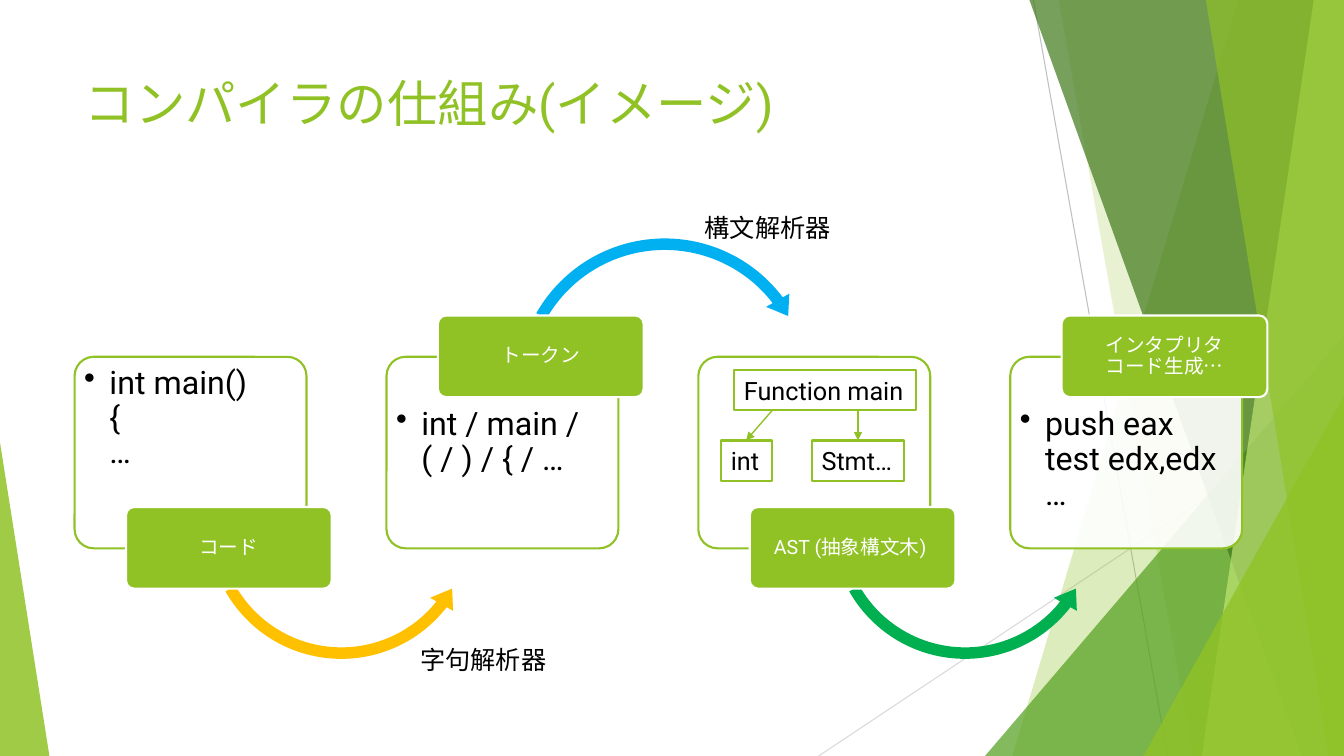
"""Build a slide that shows how a compiler turns code into output, stage by stage."""
from lxml.etree import SubElement
from pptx import Presentation
from pptx.dml.color import RGBColor
from pptx.enum.shapes import MSO_CONNECTOR, MSO_SHAPE
from pptx.enum.text import MSO_ANCHOR, PP_ALIGN
from pptx.oxml.ns import qn
from pptx.util import Inches, Pt

WIDTH, HEIGHT = 13.33, 7.5
FONT, GREEN, WHITE, BLACK = "Roboto", "90C226", "FFFFFF", "000000"
TITLE = "コンパイラの仕組み(イメージ)"

RAYS = [((10.25, 0), (11.58, HEIGHT), "BFBFBF"), ((WIDTH, 4.03), (8.12, HEIGHT), "D9D9D9")]
DECORATION = [
    ("wedge", (12.28, 10.04), GREEN, 30),
    ("wedge", (10.5, 11.83), GREEN, 20),
    ("triangle", (9.77, 3.33, 3.56, 4.17, 1), "54A021", 72),
    ("wedge", (10.21, 12.91), "3F7819", 70),
    ("wedge", (13.03, 11.92), "C0E474", 70),
    ("wedge", (11.96, 13.18), GREEN, 65),
    ("triangle", (11.34, 3.93, 1.99, 3.57, 1), GREEN, 80),
    ("triangle", (0, 4.39, 0.49, 3.11, 0), GREEN, 85),
]

STAGES = [
    ("コード", "int main()\n{\n…", "low", "FFC000"),
    ("トークン", "int / main / ( / ) / { / …", "high", "00B0F0"),
    ("AST (抽象構文木) ", "", "low", "00B050"),
    ("インタプリタ\nコード生成…", "push eax\ntest edx,edx\n…", "high", None),
]
FIRST_LEFT, LAST_LEFT, PANEL_TOP = 0.74, 10.02, 3.54
PANEL_SIZE, TAB_SIZE, TAB_OFFSET = (2.3, 1.9), (2.04, 0.81), 0.51
TAB_TOP = {"low": 5.03, "high": 3.13}
TEXT_INSET = {"low": 0.04, "high": 0.45}
ARROWS = {
    "low": (MSO_SHAPE.LEFT_CIRCULAR_ARROW, 1.25, 3.82, 2.79,
            (0.041, 5.107, 22.862, 90.245, 0.047)),
    "high": (MSO_SHAPE.CIRCULAR_ARROW, 1.22, 2.29, 3.08,
             (0.037, 4.577, 193.668, 125.755, 0.043)),
}

TREE_NODES = [("Function main", 7.28, 3.67, 1.81), ("int", 7.15, 4.37, 0.51),
              ("Stmt…", 8.05, 4.37, 0.92)]
TREE_EDGES = [((7.66, 4.07), (7.4, 4.37)), ((8.51, 4.07), (8.51, 4.37))]
CAPTIONS = [("字句解析器", 4.07, 6.34, 1.46), ("構文解析器", 6.89, 2.06, 1.46)]
LINE_HEIGHT = 0.4


def color(value):
    return RGBColor.from_string(value)


def paint(shape, fill=None, alpha=100, line=None, width=1.5):
    shape.shadow.inherit = False
    if fill:
        shape.fill.solid()
        shape.fill.fore_color.rgb = color(fill)
        if alpha < 100:
            tone = shape.fill._xPr.find(qn("a:solidFill"))[0]
            SubElement(tone, qn("a:alpha"), val=str(alpha * 1000))
    else:
        shape.fill.background()
    if line:
        shape.line.color.rgb = color(line)
        shape.line.width = Pt(width)
    else:
        shape.line.fill.background()


def add_box(slide, kind, left, top, width, height, adjustments=()):
    box = slide.shapes.add_shape(kind, *map(Inches, (left, top, width, height)))
    for index, value in enumerate(adjustments):
        box.adjustments[index] = value
    return box


def add_line(slide, start, end, tone, width):
    line = slide.shapes.add_connector(MSO_CONNECTOR.STRAIGHT, *map(Inches, (*start, *end)))
    line.line.color.rgb = color(tone)
    line.line.width = Pt(width)
    SubElement(line._element.spPr, qn("a:effectLst"))
    return line


def write(shape, text, size, tone=BLACK, align=PP_ALIGN.LEFT, anchor=MSO_ANCHOR.TOP, wrap=True):
    frame = shape.text_frame
    frame.word_wrap = wrap
    frame.vertical_anchor = anchor
    para = frame.paragraphs[0]
    para.text = text
    para.alignment = align
    for span in para.runs:
        span.font.size = Pt(size)
        span.font.name = FONT
        span.font.color.rgb = color(tone)
    return para


def set_insets(shape, side, top, bottom):
    frame = shape.text_frame
    frame.margin_left = frame.margin_right = Inches(side)
    frame.margin_top, frame.margin_bottom = Inches(top), Inches(bottom)


def add_bullet(para):
    properties = para._p.get_or_add_pPr()
    properties.set("marL", str(Inches(0.25)))
    properties.set("indent", str(-Inches(0.25)))
    SubElement(properties, qn("a:buChar"), char="•")


def draw_decoration(slide):
    for start, end, tone in RAYS:
        add_line(slide, start, end, tone, 0.75)
    for kind, geometry, tone, alpha in DECORATION:
        if kind == "wedge":
            top_x, bottom_x = geometry
            outline = slide.shapes.build_freeform(Inches(top_x), 0)
            corners = [(WIDTH, 0), (WIDTH, HEIGHT), (bottom_x, HEIGHT)]
            outline.add_line_segments([(Inches(x), Inches(y)) for x, y in corners])
            shape = outline.convert_to_shape()
        else:
            shape = add_box(slide, MSO_SHAPE.ISOSCELES_TRIANGLE, *geometry[:4], geometry[4:])
        paint(shape, tone, alpha)


def draw_stages(slide):
    pitch = (LAST_LEFT - FIRST_LEFT) / (len(STAGES) - 1)
    for index, (label, body, level, arrow_tone) in enumerate(STAGES):
        left = FIRST_LEFT + index * pitch
        panel = add_box(slide, MSO_SHAPE.ROUNDED_RECTANGLE, left, PANEL_TOP, *PANEL_SIZE, [0.1])
        paint(panel, WHITE, 90, GREEN)
        if body:
            set_insets(panel, 0.04, TEXT_INSET[level], 0.04)
            para = write(panel, body, 23)
            para.line_spacing = 0.9
            add_bullet(para)
        if arrow_tone:
            kind, offset, top, size, adjustments = ARROWS[level]
            arrow = add_box(slide, kind, left + offset, top, size, size, adjustments)
            paint(arrow, arrow_tone)
        tab = add_box(slide, MSO_SHAPE.ROUNDED_RECTANGLE, left + TAB_OFFSET, TAB_TOP[level],
                      *TAB_SIZE, [0.1])
        paint(tab, GREEN, line=WHITE)
        set_insets(tab, 0.03, 0.02, 0.02)
        para = write(tab, label, 14, WHITE, PP_ALIGN.CENTER, MSO_ANCHOR.MIDDLE)
        para.line_spacing = 0.9


def draw_tree(slide):
    for text, left, top, width in TREE_NODES:
        node = add_box(slide, MSO_SHAPE.RECTANGLE, left, top, width, LINE_HEIGHT)
        paint(node, line=GREEN)
        write(node, text, 18, wrap=False)
    for start, end in TREE_EDGES:
        edge = add_line(slide, start, end, GREEN, 1)
        SubElement(edge.line._get_or_add_ln(), qn("a:tailEnd"), type="triangle")


def main():
    deck = Presentation()
    deck.slide_width, deck.slide_height = Inches(WIDTH), Inches(HEIGHT)
    slide = deck.slides.add_slide(deck.slide_layouts[5])
    draw_decoration(slide)
    title = slide.shapes.title
    title.left, title.top, title.width, title.height = map(Inches, (0.74, 0.67, 9.4, 1.44))
    write(title, TITLE, 36, GREEN)
    draw_stages(slide)
    draw_tree(slide)
    for text, left, top, width in CAPTIONS:
        caption = slide.shapes.add_textbox(*map(Inches, (left, top, width, LINE_HEIGHT)))
        write(caption, text, 18, wrap=False)
    deck.save("out.pptx")


if __name__ == "__main__":
    main()
